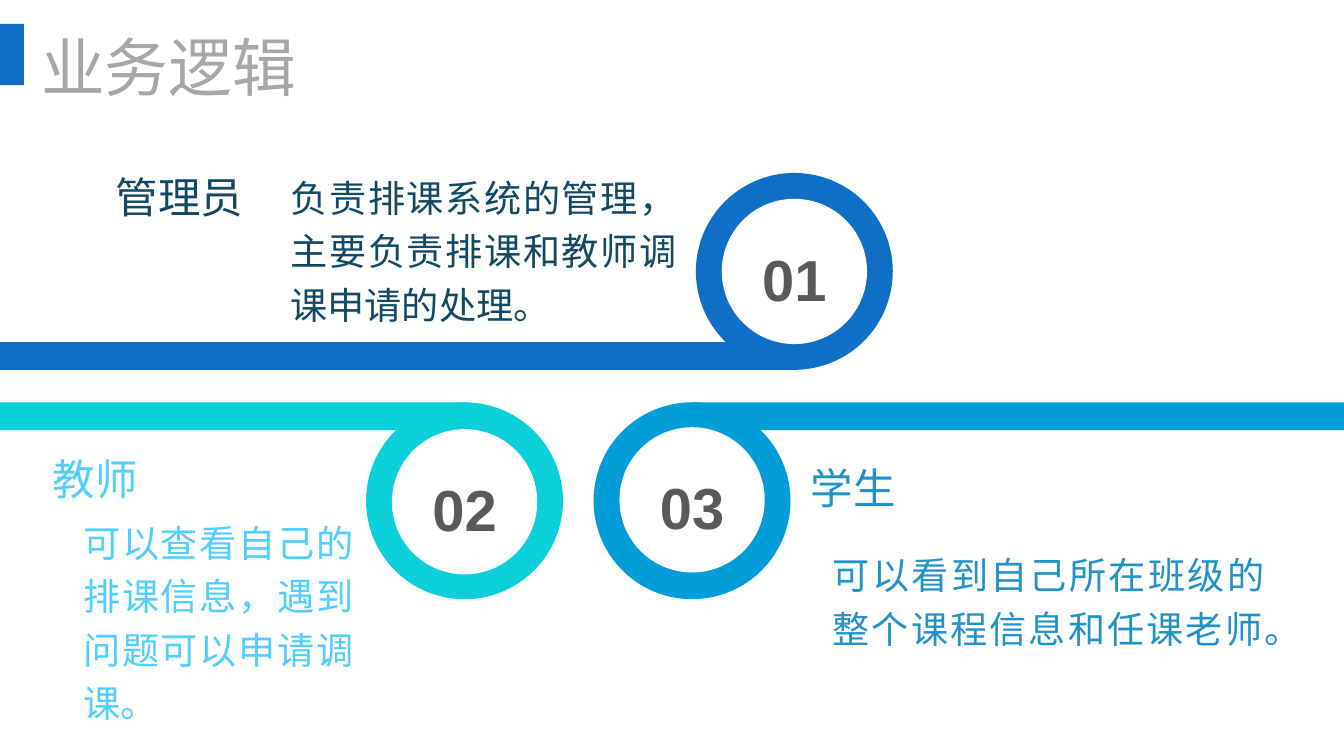
from pptx import Presentation
from pptx.dml.color import RGBColor
from pptx.enum.shapes import MSO_SHAPE
from pptx.enum.text import MSO_ANCHOR, MSO_AUTO_SIZE, PP_ALIGN
from pptx.util import Inches, Pt

RECT, OVAL = MSO_SHAPE.RECTANGLE, MSO_SHAPE.OVAL
LEFT, CENTER, JUSTIFY = PP_ALIGN.LEFT, PP_ALIGN.CENTER, PP_ALIGN.JUSTIFY
FIT_SHAPE = MSO_AUTO_SIZE.SHAPE_TO_FIT_TEXT

SLIDE_W, SLIDE_H = 14.06, 7.91
BLUE, TEAL, SKY = "0F6FC6", "0BD0D9", "009DD9"
RING, HOLE, BAR_H = 2.06, 1.52, 0.29


def add_block(kind, left, top, width, height, color):
    block = slide.shapes.add_shape(
        kind, Inches(left), Inches(top), Inches(width), Inches(height))
    block.shadow.inherit = False
    block.fill.solid()
    block.fill.fore_color.rgb = RGBColor.from_string(color)
    block.line.fill.background()
    return block


def write(frame, text, size, color, align, margins, spacing=1.2, bold=False):
    frame.text = text
    frame.margin_left = frame.margin_right = Inches(margins[0])
    frame.margin_top = frame.margin_bottom = Inches(margins[1])
    paragraph = frame.paragraphs[0]
    paragraph.alignment = align
    paragraph.line_spacing = spacing
    font = paragraph.runs[0].font
    font.name, font.size, font.bold = "Arial", Pt(size), bold
    font.color.rgb = RGBColor.from_string(color)


prs = Presentation()
prs.slide_width, prs.slide_height = Inches(SLIDE_W), Inches(SLIDE_H)
slide = prs.slides.add_slide(prs.slide_layouts[5])

# Title with its accent block
add_block(RECT, 0, 0.25, 0.25, 0.64, BLUE)
title = slide.shapes.title
title.left, title.top = Inches(0.43), Inches(0.29)
title.width, title.height = Inches(2.69), Inches(0.81)
write(title.text_frame, "业务逻辑", 48, "A6A6A6", LEFT, (0, 0), spacing=1.0)
title.text_frame.vertical_anchor = MSO_ANCHOR.TOP
title.text_frame.word_wrap = False
title.text_frame.auto_size = FIT_SHAPE

# Numbered rings, each on a bar that runs to the slide edge
# number, colour, bar left, bar top, bar width, ring left, ring top, hole top
rings = [
    ("02", TEAL, 0, 4.21, 4.88, 3.83, 4.21, 4.49),
    ("01", BLUE, 0, 3.58, 8.31, 7.28, 1.81, 2.08),
    ("03", SKY, 7.24, 4.21, SLIDE_W - 7.24, 6.21, 4.21, 4.47),
]
for number, color, bar_left, bar_top, bar_w, ring_left, ring_top, hole_top in rings:
    add_block(RECT, bar_left, bar_top, bar_w, BAR_H, color)
    add_block(OVAL, ring_left, ring_top, RING, RING, color)
    hole = add_block(OVAL, ring_left + (RING - HOLE) / 2, hole_top, HOLE, HOLE, "FFFFFF")
    write(hole.text_frame, number, 43.6, "595959", CENTER, (0.1, 0.05), bold=True)
    hole.text_frame.vertical_anchor = MSO_ANCHOR.MIDDLE

# Roles: colour, then name and duty, each with its box
roles = [
    ("114864", "管理员", (1.1, 1.63, 1.57, 0.7),
     "负责排课系统的管理，主要负责排课和教师调课申请的处理。", (2.93, 1.69, 4.26, 1.76)),
    ("4FCEFF", "教师", (0.44, 4.58, 1.12, 0.7),
     "可以查看自己的排课信息，遇到问题可以申请调课。", (0.76, 5.3, 3.05, 2.37)),
    ("2191C9", "学生", (8.37, 4.68, 1.12, 0.7),
     "可以看到自己所在班级的整个课程信息和任课老师。", (8.6, 5.64, 4.74, 1.19)),
]
for color, role, role_box, duty, duty_box in roles:
    for text, box, size, align, wrap in (
            (duty, duty_box, 28, JUSTIFY, True),
            (role, role_box, 32, LEFT, False)):
        frame = slide.shapes.add_textbox(*map(Inches, box)).text_frame
        write(frame, text, size, color, align, (0.11, 0.05))
        frame.word_wrap = wrap
        frame.auto_size = FIT_SHAPE

prs.save("out.pptx")
